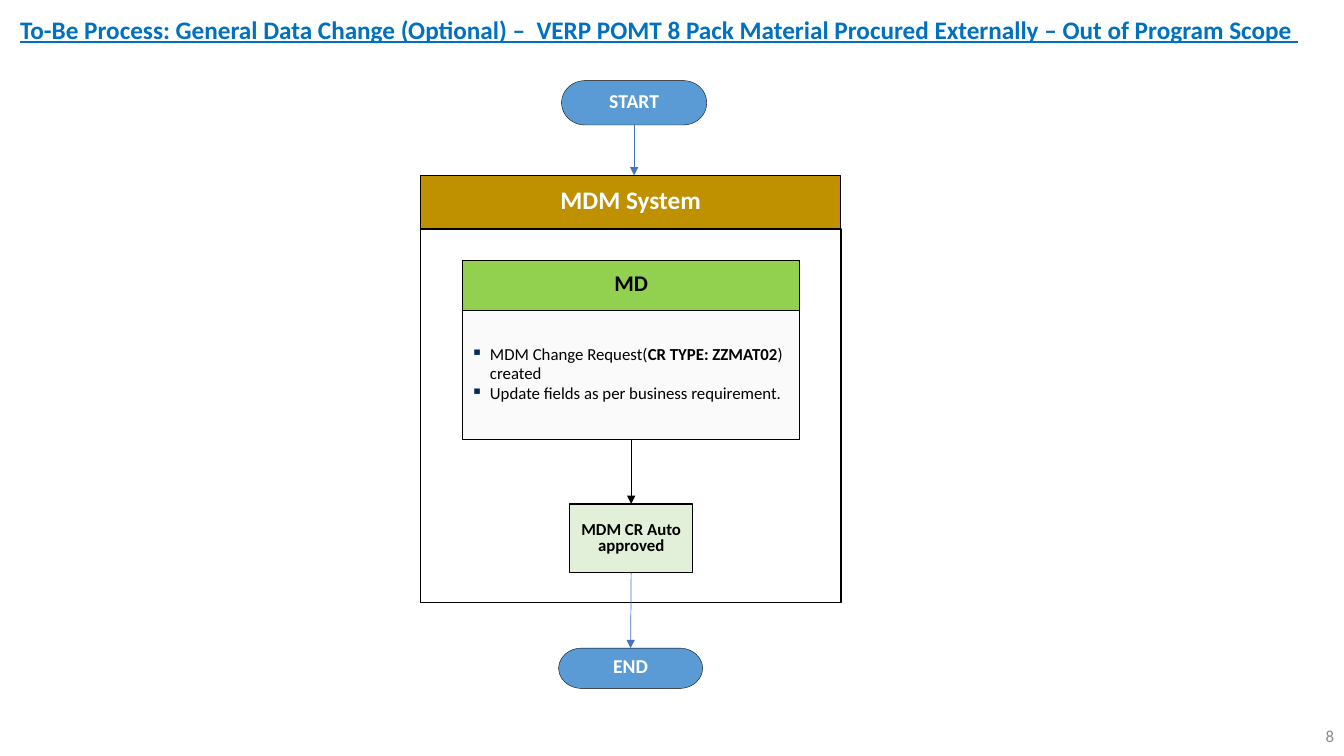
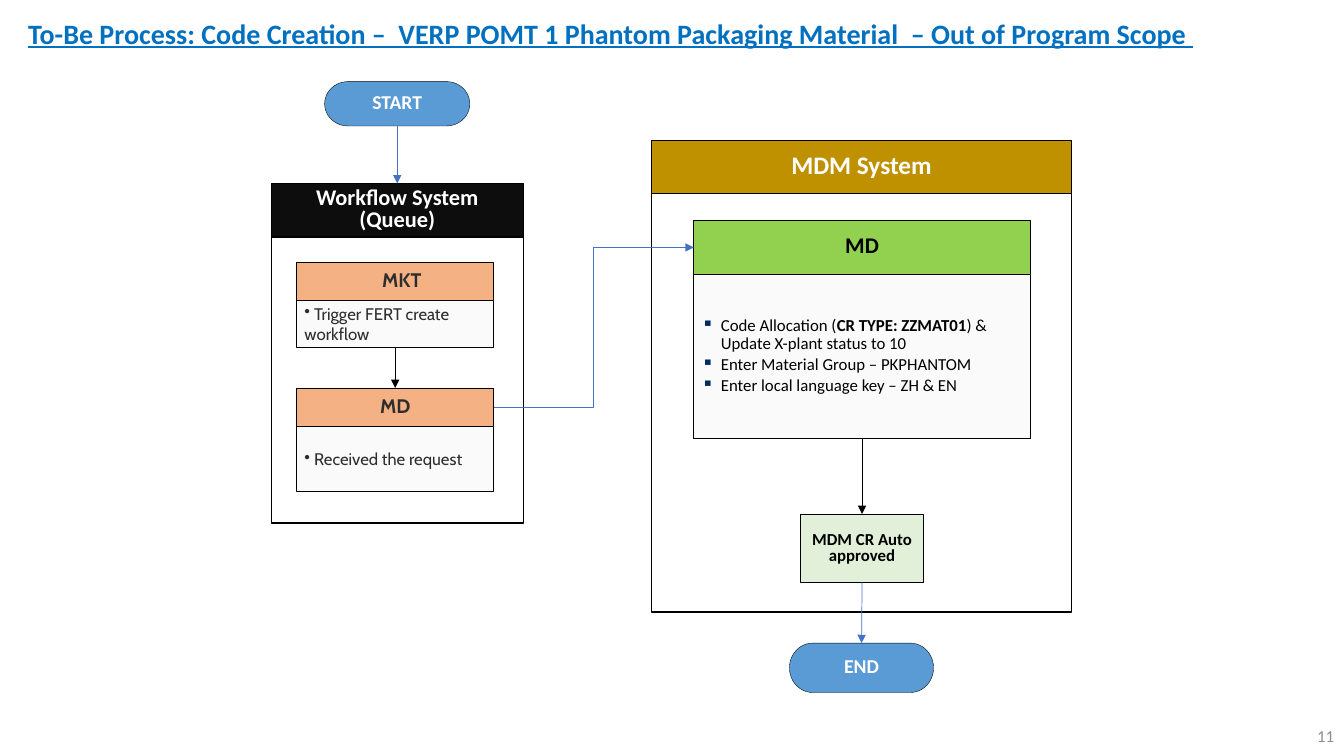
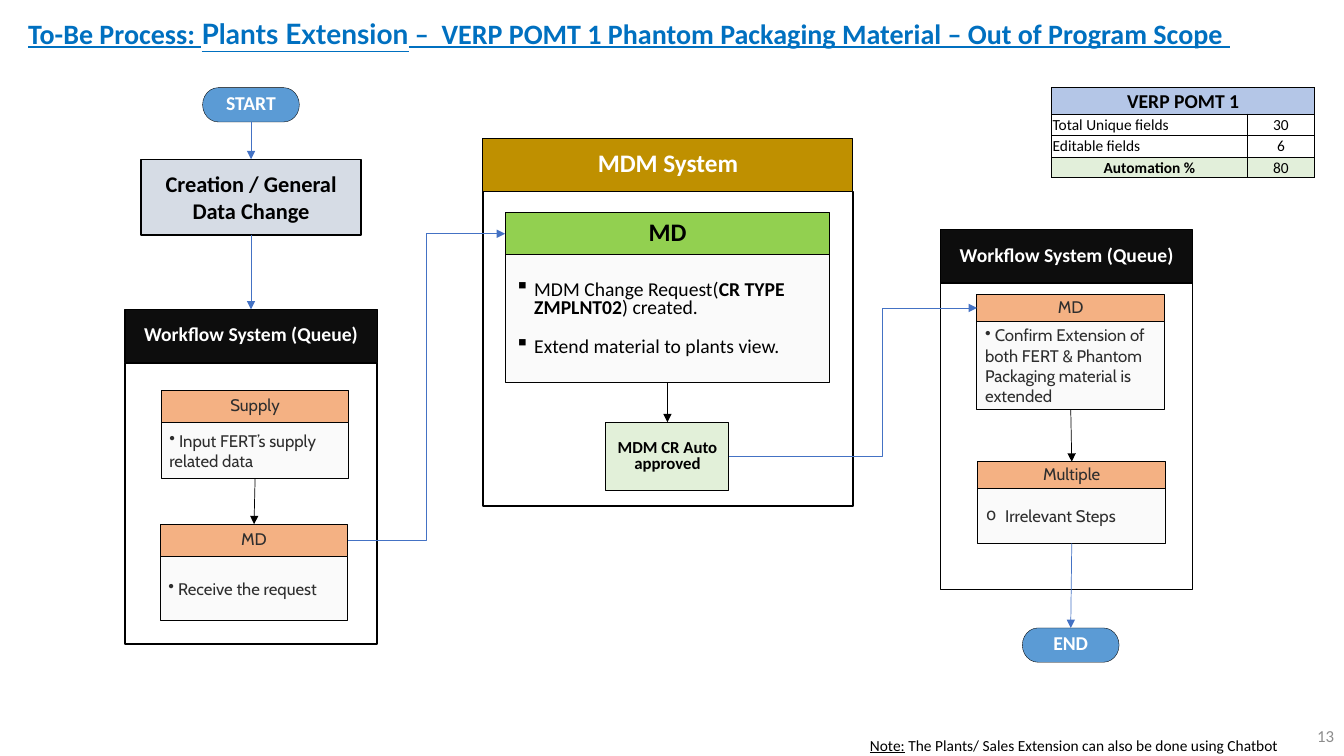
from dataclasses import dataclass, replace

import pptx
import pptx.dml.color
import pptx.enum.shapes
import pptx.enum.text
import pptx.oxml
import pptx.oxml.ns
import pptx.util
from lxml import etree

Inches = pptx.util.Inches
Pt = pptx.util.Pt
RGBColor = pptx.dml.color.RGBColor
MSO_SHAPE = pptx.enum.shapes.MSO_SHAPE
MSO_CONNECTOR = pptx.enum.shapes.MSO_CONNECTOR
MSO_ANCHOR = pptx.enum.text.MSO_ANCHOR
MSO_AUTO_SIZE = pptx.enum.text.MSO_AUTO_SIZE
PP_ALIGN = pptx.enum.text.PP_ALIGN
qn = pptx.oxml.ns.qn

BLACK = RGBColor(0x00, 0x00, 0x00)
WHITE = RGBColor(0xFF, 0xFF, 0xFF)
CHARCOAL = RGBColor(0x0D, 0x0D, 0x0D)
GRAPHITE = RGBColor(0x2E, 0x2E, 0x2E)
GREY = RGBColor(0x8C, 0x8C, 0x8C)
NAVY = RGBColor(0x00, 0x2C, 0x5C)
TITLE_BLUE = RGBColor(0x00, 0x70, 0xC0)
ARROW_BLUE = RGBColor(0x44, 0x72, 0xC4)
TERMINAL_BLUE = RGBColor(0x5B, 0x9B, 0xD5)
GOLD = RGBColor(0xBF, 0x90, 0x00)
GREEN = RGBColor(0x92, 0xD0, 0x50)
PALE_GREEN = RGBColor(0xE2, 0xF0, 0xD9)
TABLE_GREEN = RGBColor(0xE2, 0xEF, 0xDA)
TABLE_BLUE = RGBColor(0xB4, 0xC6, 0xE7)
ORANGE = RGBColor(0xF4, 0xB1, 0x83)
OFF_WHITE = RGBColor(0xFA, 0xFA, 0xFA)
SLATE = RGBColor(0xD6, 0xDC, 0xE5)


@dataclass(frozen=True)
class Style:
    fill: RGBColor | None
    color: RGBColor = BLACK
    size: int = 12
    bold: bool = True
    font: str = "Calibri"
    line: float = 0.75
    shape: int = MSO_SHAPE.RECTANGLE
    align: int = PP_ALIGN.CENTER
    spacing: float = 0.8
    before: int = 0
    after: int = 0
    inset: float | None = None
    bullet: str = ""
    bullet_color: RGBColor | None = None
    indent: float = 0
    hanging: bool = True


@dataclass(frozen=True)
class Box:
    key: str
    style: Style
    left: float
    top: float
    width: float
    height: float
    lines: tuple = ()


@dataclass(frozen=True)
class Stack:
    key: str
    left: float
    top: float
    width: float
    head: Style
    head_height: float
    title: str
    body: Style
    body_height: float
    lines: tuple = ()


@dataclass(frozen=True)
class Link:
    begin: str
    end: str
    color: RGBColor = ARROW_BLUE
    bend: float | None = None


@dataclass(frozen=True)
class Page:
    number: int
    title: tuple
    title_size: int
    title_at: tuple
    items: tuple
    links: tuple


TERMINAL = Style(TERMINAL_BLUE, WHITE, 14, line=0.25, shape=MSO_SHAPE.FLOWCHART_TERMINATOR)
SYSTEM = Style(GOLD, WHITE, 18)
WORKFLOW = Style(CHARCOAL, WHITE, 14)
FRAME = Style(None, line=1)
STAGE = Style(SLATE, size=16, line=1, spacing=1)
APPROVAL = Style(PALE_GREEN)
MD_HEAD = Style(GREEN, size=16)
MD_BODY = Style(OFF_WHITE, bold=False, align=PP_ALIGN.LEFT, spacing=0.9, after=2,
                inset=0.08, bullet="▪", bullet_color=NAVY, indent=0.19)
MD_BODY_LARGE = replace(MD_BODY, size=14, spacing=0.8, before=14, after=0, inset=None,
                        bullet_color=None)
STEP_HEAD = Style(ORANGE, GRAPHITE, bold=False, font="Cabin", spacing=0.9, after=2, inset=0.08)
STEP_HEAD_BOLD = replace(STEP_HEAD, size=14, bold=True)
STEP_BODY = Style(OFF_WHITE, GRAPHITE, bold=False, font="Cabin", align=PP_ALIGN.LEFT,
                  spacing=1, inset=0.08, bullet="•")

APPROVED = ("MDM CR Auto approved",)
SYSTEM_NAME = "MDM System"
WORKFLOW_NAME = "Workflow System (Queue)"

PAGES = (
    Page(
        8,
        ("To-Be Process: General Data Change (Optional) –  VERP POMT 8 Pack Material "
         "Procured Externally – Out of Program Scope ",),
        18, (0.1, 0.09, 12.99, 0.4),
        (
            Box("start", TERMINAL, 5.57, 0.8, 1.44, 0.44, ("START",)),
            Stack("mdm", 4.17, 1.74, 4.17, SYSTEM, 0.53, SYSTEM_NAME, FRAME, 3.71),
            Stack("md", 4.59, 2.58, 3.34, MD_HEAD, 0.5, "MD", MD_BODY, 1.28,
                  (("MDM Change Request(", "CR TYPE: ZZMAT02", ") created"),
                   "Update fields as per business requirement.")),
            Box("approved", APPROVAL, 5.65, 5, 1.22, 0.68, APPROVED),
            Box("end", TERMINAL, 5.54, 6.43, 1.43, 0.4, ("END",)),
        ),
        (Link("start", "mdm"), Link("md body", "approved", BLACK), Link("approved", "end")),
    ),
    Page(
        11,
        ("To-Be Process: Code Creation –  VERP POMT 1 Phantom Packaging Material  "
         "– Out of Program Scope ",),
        20, (0.18, 0.11, 12.11, 0.44),
        (
            Box("start", TERMINAL, 3.22, 0.81, 1.44, 0.44, ("START",)),
            Stack("workflow", 2.69, 1.82, 2.5, replace(WORKFLOW, size=16), 0.53,
                  WORKFLOW_NAME, FRAME, 2.84),
            Stack("mkt", 2.94, 2.6, 1.96, replace(STEP_HEAD_BOLD, indent=0.13, hanging=False),
                  0.38, "MKT", STEP_BODY, 0.47, (" Trigger FERT create workflow",)),
            Stack("request", 2.94, 3.85, 1.96, STEP_HEAD_BOLD, 0.38, "MD",
                  STEP_BODY, 0.65, (" Received the request",)),
            Stack("mdm", 6.46, 1.39, 4.17, SYSTEM, 0.53, SYSTEM_NAME, FRAME, 4.15),
            Stack("md", 6.88, 2.19, 3.34, MD_HEAD, 0.53, "MD", MD_BODY, 1.63,
                  (("Code Allocation (", "CR TYPE: ZZMAT01", ") & Update X-plant status to 10"),
                   "Enter Material Group – PKPHANTOM",
                   "Enter local language key – ZH & EN")),
            Box("approved", APPROVAL, 7.94, 5.1, 1.22, 0.68, APPROVED),
            Box("end", TERMINAL, 7.83, 6.38, 1.43, 0.49, ("END",)),
        ),
        (Link("start", "workflow"), Link("mkt body", "request", BLACK),
         Link("request", "md", bend=0.5), Link("md body", "approved", BLACK),
         Link("approved", "end")),
    ),
    Page(
        13,
        ("To-Be Process: ", "Plants Extension",
         " –  VERP POMT 1 Phantom Packaging Material – Out of Program Scope "),
        20, (0.18, 0.11, 12.46, 0.44),
        (
            Box("start", TERMINAL, 2.01, 0.87, 0.96, 0.34, ("START",)),
            Box("creation", STAGE, 1.4, 1.58, 2.18, 0.75, ("Creation / General Data Change",)),
            Stack("workflow", 1.24, 3.07, 2.5, WORKFLOW, 0.53, WORKFLOW_NAME, FRAME, 2.79),
            Stack("supply", 1.6, 3.87, 1.86, STEP_HEAD, 0.32, "Supply",
                  STEP_BODY, 0.56, (" Input FERT’s supply related data",)),
            Stack("request", 1.59, 5.2, 1.86, STEP_HEAD, 0.32, "MD",
                  STEP_BODY, 0.64, (" Receive the request",)),
            Stack("mdm", 4.79, 1.37, 3.67, SYSTEM, 0.53, SYSTEM_NAME, FRAME, 3.12),
            Stack("md", 5.01, 2.11, 3.22, replace(MD_HEAD, size=18), 0.42, "MD",
                  MD_BODY_LARGE, 1.27,
                  (("MDM Change Request(", "CR TYPE ZMPLNT02", ") created."),
                   "Extend material to plants view.")),
            Box("approved", APPROVAL, 6.01, 4.19, 1.22, 0.68, APPROVED),
            Stack("closing", 9.33, 2.28, 2.5, WORKFLOW, 0.53, WORKFLOW_NAME, FRAME, 3.04),
            Stack("confirm", 9.69, 2.92, 1.86, STEP_HEAD, 0.27, "MD", STEP_BODY, 0.87,
                  (" Confirm Extension of both FERT & Phantom Packaging material is extended",)),
            Stack("multiple", 9.7, 4.58, 1.86, STEP_HEAD, 0.27, "Multiple",
                  replace(STEP_BODY, bullet="o", indent=0.19), 0.54, ("Irrelevant Steps",)),
            Box("end", TERMINAL, 10.14, 6.23, 0.96, 0.34, ("END",)),
        ),
        (Link("start", "creation"), Link("creation", "workflow"),
         Link("supply body", "request", BLACK), Link("request", "md", bend=0.5),
         Link("md body", "approved", BLACK), Link("approved", "confirm", bend=0.62),
         Link("confirm body", "multiple", BLACK), Link("multiple body", "end")),
    ),
)


def format_run(r, size: float, color: RGBColor, bold: bool = False,
               font: str = "Calibri", underline: bool = False) -> None:
    r.font.name = font
    r.font.size = Pt(size)
    r.font.color.rgb = color
    r.font.bold = bold
    r.font.underline = underline


def add_solid_fill(parent, color: RGBColor) -> None:
    fill = etree.SubElement(parent, qn("a:solidFill"))
    etree.SubElement(fill, qn("a:srgbClr"), val=str(color))


def format_bullet(p, style: Style) -> None:
    props = p._p.get_or_add_pPr()
    if style.indent:
        props.set("marL", str(Inches(style.indent)))
        props.set("indent", str(-Inches(style.indent) if style.hanging else 0))
    if style.bullet_color is not None:
        color = etree.SubElement(props, qn("a:buClr"))
        etree.SubElement(color, qn("a:srgbClr"), val=str(style.bullet_color))
    if style.bullet:
        etree.SubElement(props, qn("a:buChar"), char=style.bullet)


def write_lines(tf, style: Style, lines: tuple) -> None:
    tf.word_wrap = True
    tf.vertical_anchor = MSO_ANCHOR.MIDDLE
    if style.inset is not None:
        tf.margin_left = tf.margin_right = Inches(style.inset)
        tf.margin_top = tf.margin_bottom = Inches(style.inset)
    for i, line in enumerate(lines):
        p = tf.add_paragraph() if i else tf.paragraphs[0]
        p.alignment = style.align
        p.line_spacing = style.spacing
        p.space_before = Pt(style.before if i else 0)
        p.space_after = Pt(style.after)
        format_bullet(p, style)
        for j, text in enumerate((line,) if isinstance(line, str) else line):
            r = p.add_run()
            r.text = text
            format_run(r, style.size, style.color, style.bold or j % 2 == 1, style.font)


def draw_box(s, box: Box):
    style = box.style
    sp = s.shapes.add_shape(style.shape, Inches(box.left), Inches(box.top),
                            Inches(box.width), Inches(box.height))
    sp.shadow.inherit = False
    if style.fill is None:
        sp.fill.background()
    else:
        sp.fill.solid()
        sp.fill.fore_color.rgb = style.fill
    sp.line.color.rgb = BLACK
    sp.line.width = Pt(style.line)
    write_lines(sp.text_frame, style, box.lines)
    return sp


def split(item: Box | Stack) -> tuple:
    if isinstance(item, Box):
        return (item,)
    return (
        Box(item.key, item.head, item.left, item.top, item.width, item.head_height,
            (item.title,)),
        Box(f"{item.key} body", item.body, item.left, item.top + item.head_height,
            item.width, item.body_height, item.lines),
    )


def draw_link(s, link: Link, shapes: dict) -> None:
    begin, end = shapes[link.begin], shapes[link.end]
    straight = link.bend is None
    kind = MSO_CONNECTOR.STRAIGHT if straight else MSO_CONNECTOR.ELBOW
    x = begin.left + begin.width // 2
    c = s.shapes.add_connector(kind, x, begin.top + begin.height, x, end.top)
    c.begin_connect(begin, 2 if straight else 3)
    if not straight or abs(x - end.left - end.width // 2) < Inches(0.02):
        c.end_connect(end, 0 if straight else 1)
    c.line.color.rgb = link.color
    c.line.width = Pt(0.5)
    props = c._element.spPr
    if not straight:
        guides = props.find(qn("a:prstGeom")).get_or_add_avLst()
        etree.SubElement(guides, qn("a:gd"), name="adj1", fmla=f"val {round(link.bend * 100000)}")
    etree.SubElement(props.find(qn("a:ln")), qn("a:tailEnd"), type="triangle")
    etree.SubElement(props, qn("a:effectLst"))


def draw_title(s, page: Page) -> None:
    sp = s.shapes.title
    sp.left, sp.top, sp.width, sp.height = (Inches(v) for v in page.title_at)
    tf = sp.text_frame
    tf.word_wrap = True
    tf.auto_size = MSO_AUTO_SIZE.SHAPE_TO_FIT_TEXT
    tf.vertical_anchor = MSO_ANCHOR.TOP
    p = tf.paragraphs[0]
    p.alignment = PP_ALIGN.LEFT
    for i, text in enumerate(page.title):
        r = p.add_run()
        r.text = text
        format_run(r, page.title_size, TITLE_BLUE, True, "Lato" if i % 2 else "Calibri", True)


def draw_number(s, number: int) -> None:
    sp = s.shapes.add_textbox(Inches(10.33), Inches(7.1), Inches(3), Inches(0.4))
    tf = sp.text_frame
    tf.word_wrap = True
    tf.vertical_anchor = MSO_ANCHOR.MIDDLE
    tf.text = str(number)
    p = tf.paragraphs[0]
    p.alignment = PP_ALIGN.RIGHT
    format_run(p.runs[0], 12, GREY)


def draw_page(prs, page: Page):
    s = prs.slides.add_slide(prs.slide_layouts[5])
    draw_title(s, page)
    draw_number(s, page.number)
    boxes = [box for item in page.items for box in split(item)]
    shapes = {box.key: draw_box(s, box) for box in boxes}
    for link in page.links:
        draw_link(s, link, shapes)
    return s


def format_cell(cell, text: str, size: int, bold: bool, align: int,
                fill: RGBColor | None) -> None:
    cell.margin_left = cell.margin_right = cell.margin_top = Inches(0.01)
    cell.margin_bottom = 0
    cell.vertical_anchor = MSO_ANCHOR.MIDDLE
    cell.text_frame.text = text
    p = cell.text_frame.paragraphs[0]
    p.alignment = align
    for r in p.runs:
        format_run(r, size, BLACK, bold)
    props = cell._tc.get_or_add_tcPr()
    for side in ("a:lnL", "a:lnR", "a:lnT", "a:lnB"):
        add_solid_fill(etree.SubElement(props, qn(side), w=str(Pt(0.5))), BLACK)
    if fill is None:
        cell.fill.background()
    else:
        cell.fill.solid()
        cell.fill.fore_color.rgb = fill


def draw_field_table(s) -> None:
    rows = (("VERP POMT 1", ""), ("Total Unique fields", "30"),
            ("Editable fields", "6"), ("Automation %", "80"))
    fills = (TABLE_BLUE, None, None, TABLE_GREEN)
    heights = (0.26, 0.21, 0.22, 0.2)
    table = s.shapes.add_table(4, 2, Inches(10.43), Inches(0.87), Inches(2.61),
                               Inches(sum(heights))).table
    table.first_row = table.horz_banding = False
    for col, width in zip(table.columns, (1.94, 0.67)):
        col.width = Inches(width)
    for i, (texts, fill, height) in enumerate(zip(rows, fills, heights)):
        table.rows[i].height = Inches(height)
        for j, text in enumerate(texts):
            strong = fill is not None and j == 0
            centred = strong or j == 1
            format_cell(table.cell(i, j), text, 11 if i else 14, strong,
                        PP_ALIGN.CENTER if centred else PP_ALIGN.LEFT, fill)
    table.cell(0, 0).merge(table.cell(0, 1))


def draw_note(s) -> None:
    sp = s.shapes.add_textbox(Inches(8.53), Inches(7.25), Inches(4.7), Inches(0.25))
    tf = sp.text_frame
    tf.word_wrap = True
    p = tf.paragraphs[0]
    for text, underline in (("Note:", True),
                            (" The Plants/ Sales Extension can also be done using Chatbot", False)):
        r = p.add_run()
        r.text = text
        format_run(r, 11, BLACK, underline=underline)


def main() -> None:
    prs = pptx.Presentation()
    prs.slide_width, prs.slide_height = Inches(13.33), Inches(7.5)
    slides = [draw_page(prs, page) for page in PAGES]
    draw_field_table(slides[-1])
    draw_note(slides[-1])
    prs.save("out.pptx")


if __name__ == "__main__":
    main()
